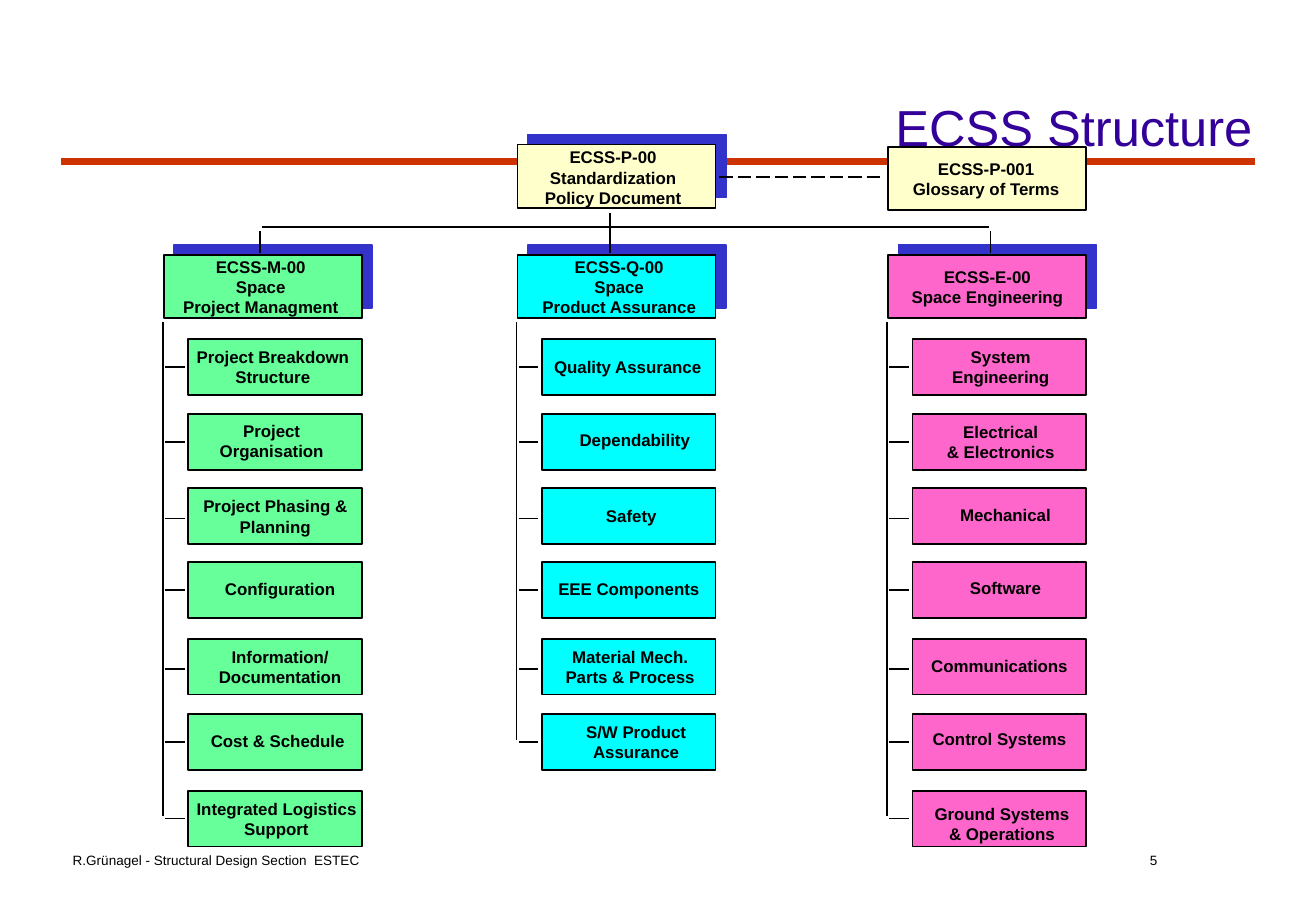
from lxml.etree import SubElement
from pptx import Presentation
from pptx.dml.color import RGBColor as RGB
from pptx.enum.dml import MSO_LINE
from pptx.enum.shapes import MSO_CONNECTOR as CONN, MSO_SHAPE as SHAPE
from pptx.enum.text import MSO_ANCHOR as ANCHOR, MSO_AUTO_SIZE as FIT, PP_ALIGN as ALIGN
from pptx.oxml.ns import qn
from pptx.util import Emu, Pt

SCALE = 9144  # EMU per px, 100 px to the inch

BLACK = RGB(0x00, 0x00, 0x00)
RED = RGB(0xCC, 0x33, 0x00)
PURPLE = RGB(0x33, 0x00, 0x99)
BLUE = RGB(0x33, 0x33, 0xCC)
CREAM = RGB(0xFF, 0xFF, 0xCC)
GREEN = RGB(0x66, 0xFF, 0x99)
CYAN = RGB(0x00, 0xFF, 0xFF)
PINK = RGB(0xFF, 0x66, 0xCC)

HEAD_W, HEAD_H, HEAD_TOP = 163, 52, 210
ITEM_W, ITEM_H = 143, 46
ITEM_TOPS = [279, 341, 402, 463, 526, 588, 651]
TICKS = [302, 364, 427, 486, 551, 611, 674]

# Each branch: left edge, colour, head, items; a label is text, shift right, shift down
BRANCHES = [
    (135, GREEN, ("ECSS-M-00\nSpace\nProject Managment", -2, 0), [
        ("Project Breakdown\nStructure", -2, 0),
        ("Project\nOrganisation", -3, -1),
        ("Project Phasing &\nPlanning", 0, 0),
        ("Configuration", 4, -1),
        ("Information/\nDocumentation", 4, 0),
        ("Cost & Schedule", 2, -1),
        ("Integrated Logistics\nSupport", 1, 0),
    ]),
    (426, CYAN, ("ECSS-Q-00\nSpace\nProduct Assurance", 2, 0), [
        ("Quality Assurance", -1, 0),
        ("Dependability", 5, -2),
        ("Safety", 2, 0),
        ("EEE Components", 0, -1),
        ("Material Mech.\nParts & Process", 1, 0),
        ("S/W Product\nAssurance", 6, 0),
    ]),
    (731, PINK, ("ECSS-E-00\nSpace Engineering", 0, 0), [
        ("System\nEngineering", 1, 0),
        ("Electrical\n& Electronics", 1, 0),
        ("Mechanical", 5, -1),
        ("Software", 5, -2),
        ("Communications", 0, -1),
        ("Control Systems", 0, -3),
        ("Ground Systems\n& Operations", 2, 4),
    ]),
]


def px(n):
    return Emu(n * SCALE)


def style(frame, size, color, align, bold=False):
    for para in frame.paragraphs:
        para.alignment = align
        for run in para.runs:
            font = run.font
            font.name, font.size, font.bold = "Arial", Pt(size), bold
            font.color.rgb = color


def add_box(slide, x, y, w, h, fill, label, raised=False):
    box = slide.shapes.add_shape(SHAPE.RECTANGLE, px(x), px(y), px(w), px(h))
    box.fill.solid()
    box.fill.fore_color.rgb = fill
    box.line.color.rgb = BLACK
    box.line.width = Pt(1)
    box.shadow.inherit = False
    if raised:
        cast = SubElement(box._element.spPr.find(qn("a:effectLst")), qn("a:outerShdw"),
                          dist=str(Pt(8.5)), dir="18900000", algn="ctr", rotWithShape="0")
        SubElement(cast, qn("a:srgbClr"), val=str(BLUE))

    # Insets shift the centred label
    text, dx, dy = label
    frame = box.text_frame
    frame.text = text
    frame.word_wrap = True
    frame.vertical_anchor = ANCHOR.MIDDLE
    frame.margin_left, frame.margin_right = px(max(2 * dx, 0)), px(max(-2 * dx, 0))
    frame.margin_top, frame.margin_bottom = px(max(2 * dy, 0)), px(max(-2 * dy, 0))
    style(frame, 10, BLACK, ALIGN.CENTER, True)


def add_line(slide, x1, y1, x2, y2, color=BLACK, width=1, dash=None):
    link = slide.shapes.add_connector(CONN.STRAIGHT, px(x1), px(y1), px(x2), px(y2))
    link.line.color.rgb = color
    link.line.width = Pt(width)
    if dash:
        link.line.dash_style = dash
    SubElement(link._element.spPr, qn("a:effectLst"))


def add_note(slide, x, w, text, align):
    frame = slide.shapes.add_textbox(px(x), px(692), px(w), px(33)).text_frame
    frame.text = text
    frame.word_wrap = True
    frame.vertical_anchor = ANCHOR.MIDDLE
    style(frame, 8, BLACK, align)


def add_title(slide, text):
    title = slide.shapes.title
    title.left, title.top, title.width, title.height = px(50), px(83), px(991), px(42)
    frame = title.text_frame
    frame.text = text
    frame.auto_size = FIT.NONE
    frame.vertical_anchor = ANCHOR.MIDDLE
    style(frame, 30, PURPLE, ALIGN.RIGHT)


def add_branch(slide, left, fill, head, items):
    add_box(slide, left, HEAD_TOP, HEAD_W, HEAD_H, fill, head, True)
    spine = left - 1
    add_line(slide, spine, 265, spine, TICKS[len(items) - 1] - 2)
    for top, tick, item in zip(ITEM_TOPS, TICKS, items):
        add_box(slide, left + HEAD_W - ITEM_W, top, ITEM_W, ITEM_H, fill, item)
        add_line(slide, spine + 2, tick, spine + 18, tick)


def main():
    deck = Presentation()
    deck.slide_width, deck.slide_height = px(1083), px(750)
    slide = deck.slides.add_slide(deck.slide_layouts[5])

    # Title and rule
    add_line(slide, 50, 133, 1033, 133, RED, 4)
    add_title(slide, "ECSS Structure")

    # Branches
    for branch in BRANCHES:
        add_branch(slide, *branch)

    # Top level
    add_box(slide, 426, 119, HEAD_W, HEAD_H, CREAM,
            ("ECSS-P-00\nStandardization\nPolicy Document", -3, 1), True)
    add_box(slide, 731, 121, HEAD_W, HEAD_H, CREAM,
            ("ECSS-P-001\nGlossary of Terms", -1, 0))
    add_line(slide, 592, 146, 728, 146, dash=MSO_LINE.LONG_DASH)

    # Bus and drops
    add_line(slide, 216, 187, 814, 187)
    for x, top in [(214, 190), (502, 175), (815, 190)]:
        add_line(slide, x, top, x, 208)

    # Footer
    add_note(slide, 50, 333, "R.Grünagel - Structural Design Section  ESTEC", ALIGN.LEFT)
    add_note(slide, 858, 183, "5", ALIGN.CENTER)

    deck.save("out.pptx")


if __name__ == "__main__":
    main()
